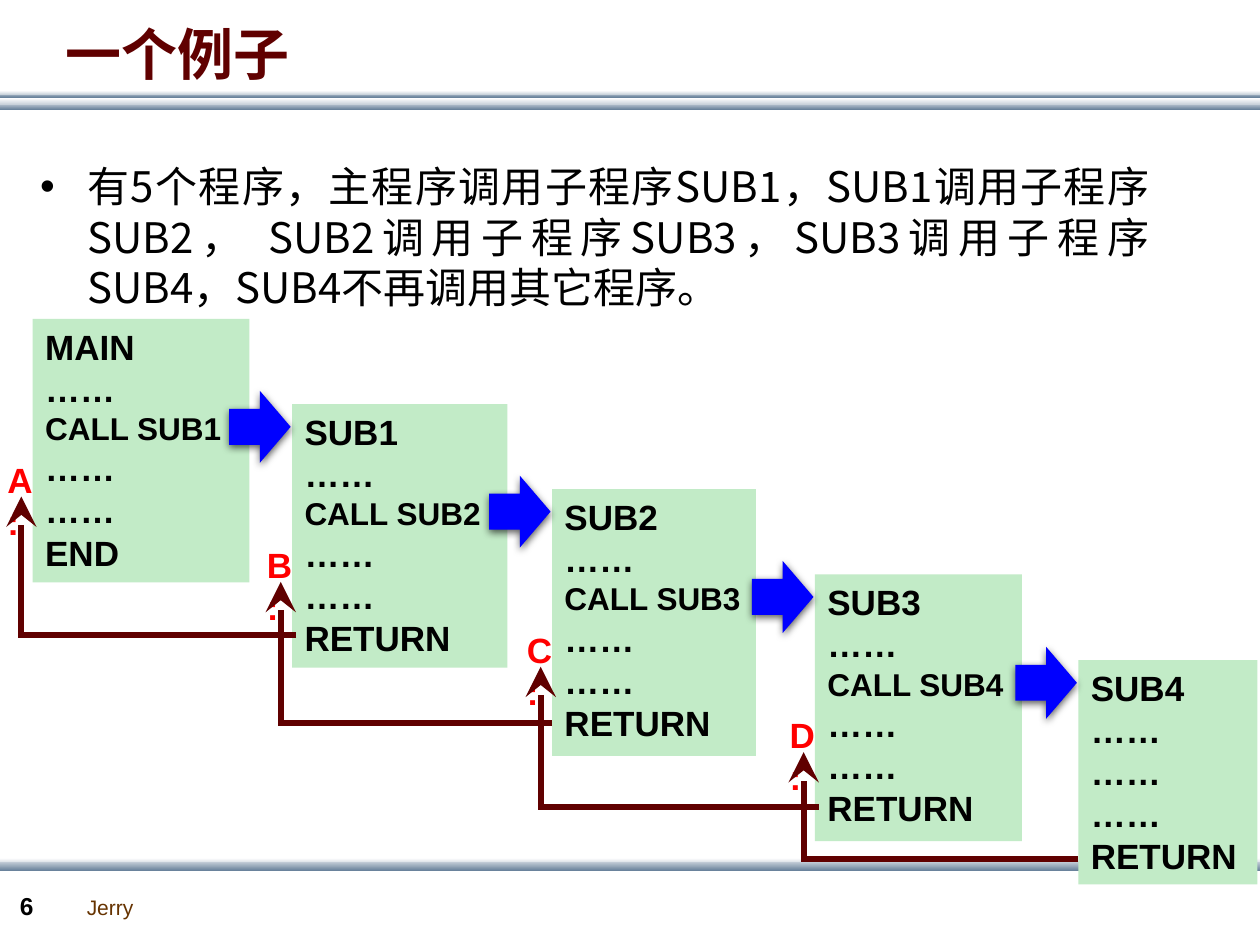
from lxml import etree
from pptx import Presentation
from pptx import util as u
from pptx.dml.color import RGBColor
from pptx.enum import shapes, text
from pptx.oxml.ns import qn

MAROON = RGBColor(0x60, 0x00, 0x00)
GREEN = RGBColor(0xC2, 0xEB, 0xC7)
BLUE = RGBColor(0x00, 0x00, 0xFF)
RED = RGBColor(0xFF, 0x00, 0x00)
BROWN = RGBColor(0x66, 0x33, 0x00)
BLACK = RGBColor(0x00, 0x00, 0x00)
WHITE = RGBColor(0xFF, 0xFF, 0xFF)
PALE = RGBColor(0xC8, 0xD1, 0xDA)
STEEL = RGBColor(0x6A, 0x83, 0x9C)
LATIN, CJK = "Arial", "Noto Sans CJK SC"

RULES = [
    (2.08, 0.13, PALE, STEEL), (1.88, 0.08, PALE, STEEL),
    (1.98, 0.13, WHITE, PALE), (1.83, 0.08, WHITE, PALE),
    (17.3, 0.13, WHITE, PALE), (17.37, 0.18, PALE, STEEL),
]
DOTS = "……"
ROUTINES = [
    ((0.66, 6.43, 4.37, 5.31), ["MAIN", DOTS, "CALL SUB1", DOTS, DOTS, "END"]),
    ((5.89, 8.15, 4.34, 5.31), ["SUB1", DOTS, "CALL SUB2", DOTS, DOTS, "RETURN"]),
    ((11.13, 9.86, 4.11, 5.38), ["SUB2", DOTS, "CALL SUB3", DOTS, DOTS, "RETURN"]),
    ((16.43, 11.58, 4.17, 5.38), ["SUB3", DOTS, "CALL SUB4", DOTS, DOTS, "RETURN"]),
    ((21.74, 13.31, 3.61, 4.52), ["SUB4", DOTS, DOTS, DOTS, "RETURN"]),
]
RETURNS = [("A:", 0.66, 0.08), ("B:", 0.66, 0), ("C:", 0.7, 0.08), ("D:", 0.51, 0)]
BODY = ("有5个程序，主程序调用子程序SUB1，SUB1调用子程序SUB2， SUB2调用子程序SUB3，"
        "SUB3调用子程序SUB4，SUB4不再调用其它程序。")


def cm(*values):
    """Convert numbers to centimetre lengths."""
    return [u.Cm(v) for v in values]


def add_run(p, words, size, color, font=LATIN, bold=False):
    """Append one formatted run to a paragraph."""
    r = p.add_run()
    r.text = words
    r.font.size, r.font.bold, r.font.name = u.Pt(size), bold, font
    r.font.color.rgb = color
    etree.SubElement(r._r.get_or_add_rPr(), qn("a:ea"), typeface=font)


def add_label(s, box, words, size, color, bold=False, wrap=True):
    """Add a one-paragraph text box and return its paragraph."""
    tf = s.shapes.add_textbox(*cm(*box)).text_frame
    tf.word_wrap = wrap
    p = tf.paragraphs[0]
    add_run(p, words, size, color, bold=bold)
    return p


def add_plain(s, kind, box):
    """Add a preset shape without outline or shadow."""
    sp = s.shapes.add_shape(kind, *cm(*box))
    sp.shadow.inherit = False
    sp.line.fill.background()
    return sp


def add_rules(s):
    """Draw the gradient bars under the title and above the footer."""
    for top, height, start, end in RULES:
        sp = add_plain(s, shapes.MSO_SHAPE.RECTANGLE, (0, top, 25.43, height))
        sp.fill.gradient()
        sp.fill.gradient_angle = 270
        for stop, color in zip(sp.fill.gradient_stops, (start, end)):
            stop.color.rgb = color


def add_title(s, box):
    """Place and format the title placeholder."""
    sp = s.shapes.title
    sp.left, sp.top, sp.width, sp.height = cm(*box)
    tf = sp.text_frame
    tf.vertical_anchor = text.MSO_ANCHOR.MIDDLE
    p = tf.paragraphs[0]
    p.alignment = text.PP_ALIGN.LEFT
    add_run(p, "一个例子", 32, MAROON, CJK, True)


def add_body(s, box):
    """Add the bulleted description."""
    tf = s.shapes.add_textbox(*cm(*box)).text_frame
    tf.word_wrap = True
    p = tf.paragraphs[0]
    p.alignment = text.PP_ALIGN.JUSTIFY
    p.space_before = u.Pt(4.8)
    pPr = p._p.get_or_add_pPr()
    pPr.set("marL", str(u.Cm(0.95)))
    pPr.set("indent", str(u.Cm(-0.95)))
    etree.SubElement(pPr, qn("a:buFont"), typeface=LATIN)
    etree.SubElement(pPr, qn("a:buChar"), char="•")
    add_run(p, BODY, 24, BLACK, CJK)


def add_footer(s, left, top):
    """Add the author name and the slide number."""
    add_label(s, (left + 1.35, top + 0.08, 1.45, 0.76), "Jerry", 12, BROWN, wrap=False)
    p = add_label(s, (left, top, 1.4, 0.84), "6", 14, BLACK, True)
    p.space_before = u.Pt(7)


def add_routine(s, box, lines):
    """Draw one routine as a green listing."""
    sp = add_plain(s, shapes.MSO_SHAPE.RECTANGLE, box)
    sp.fill.solid()
    sp.fill.fore_color.rgb = GREEN
    tf = sp.text_frame
    tf.word_wrap = True
    tf.vertical_anchor = text.MSO_ANCHOR.TOP
    for i, line in enumerate(lines):
        p = tf.add_paragraph() if i else tf.paragraphs[0]
        p.alignment = text.PP_ALIGN.LEFT
        add_run(p, line, 18 if line.startswith("CALL") else 20, BLACK, bold=True)


def add_call(s, callee):
    """Draw the blue call arrow that ends at the callee's box."""
    left, top = callee[:2]
    sp = add_plain(s, shapes.MSO_SHAPE.RIGHT_ARROW, (left - 1.27, top - 0.27, 1.24, 1.45))
    sp.fill.solid()
    sp.fill.fore_color.rgb = BLUE
    shadow = etree.SubElement(
        sp._element.spPr.find(qn("a:effectLst")), qn("a:outerShdw"),
        blurRad=str(u.Pt(4.5)), dist=str(u.Pt(1.5)), dir="5400000", rotWithShape="0")
    color = etree.SubElement(shadow, qn("a:srgbClr"), val=str(BLACK))
    etree.SubElement(color, qn("a:alpha"), val="63000")


def add_line(s, start, end, arrow=False):
    """Draw one straight segment of a return path."""
    c = s.shapes.add_connector(shapes.MSO_CONNECTOR.STRAIGHT, *cm(*start, *end))
    c.line.color.rgb = MAROON
    c.line.width = u.Pt(3.5)
    if arrow:
        etree.SubElement(c.line._get_or_add_ln(), qn("a:tailEnd"),
                         type="stealth", w="lg", len="lg")
    etree.SubElement(c._element.spPr, qn("a:effectLst"))


def add_return(s, caller, callee, rise, overlap):
    """Draw the path from the foot of the callee back to the caller."""
    x = caller[0] - 0.23
    y = callee[1] + callee[3] - rise
    add_line(s, (callee[0] + overlap, y), (x - 0.06, y))
    add_line(s, (x, y), (x, caller[1] + 3.58), True)


def add_call_chain(s):
    """Draw the routines with their labels, calls and returns."""
    boxes = [box for box, _ in ROUTINES]
    for i, (box, lines) in enumerate(ROUTINES):
        add_routine(s, box, lines)
        if i < len(RETURNS):
            add_label(s, (box[0] - 0.76, box[1] + 2.68, 1.09, 1.12),
                      RETURNS[i][0], 20, RED, True)
    for callee in boxes[1:]:
        add_call(s, callee)
    for caller, callee, (_, rise, overlap) in zip(boxes, boxes[1:], RETURNS):
        add_return(s, caller, callee, rise, overlap)


def main():
    """Build the slide and save it."""
    prs = Presentation()
    prs.slide_width, prs.slide_height = cm(25.4, 19.05)
    s = prs.slides.add_slide(prs.slide_layouts[5])
    add_rules(s)
    add_footer(s, 0.15, 17.83)
    add_title(s, (1.07, 0.28, 22.86, 1.6))
    add_body(s, (0.56, 3.12, 22.86, 3.4))
    add_call_chain(s)
    prs.save("out.pptx")


if __name__ == "__main__":
    main()
